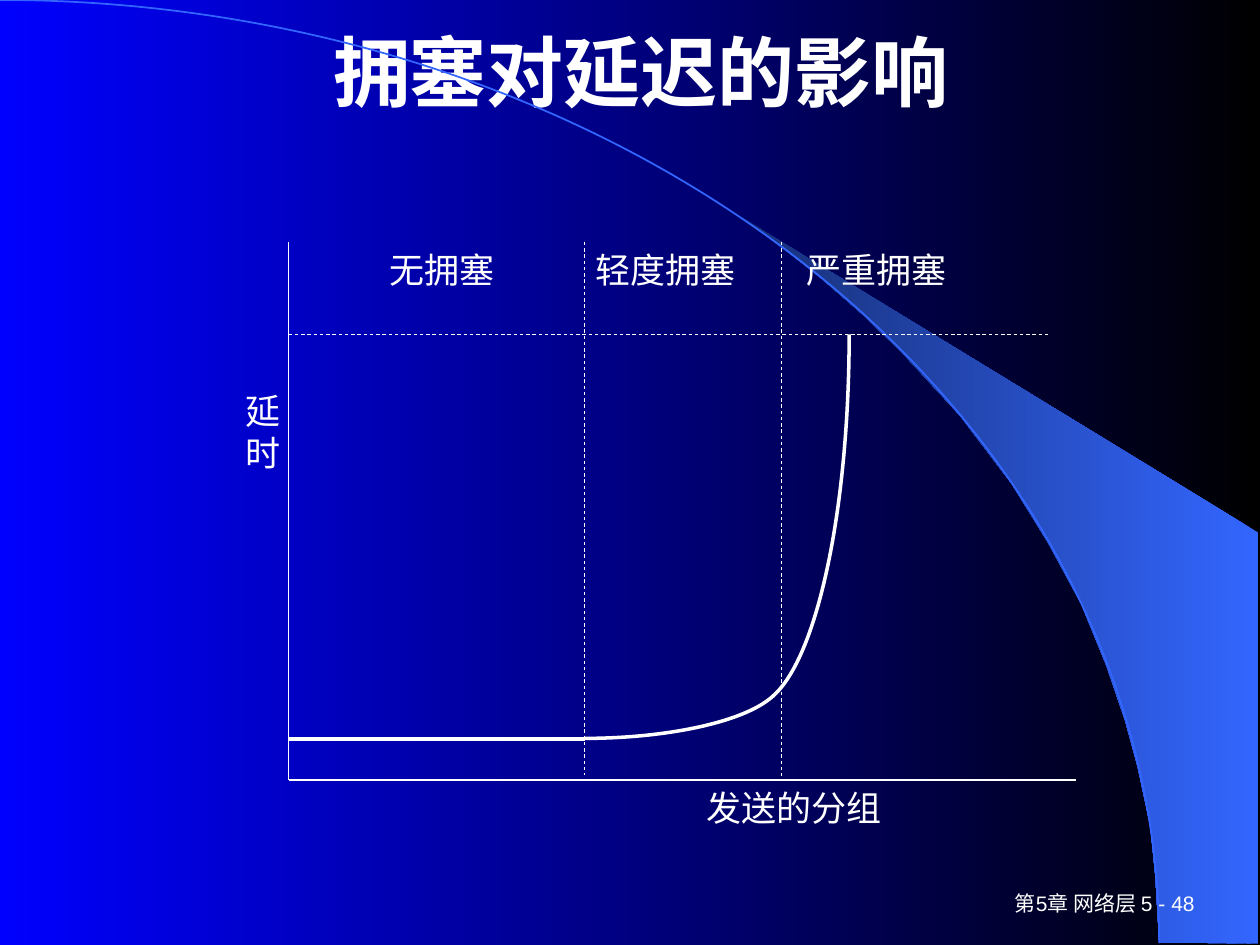
"""Build the slide on how congestion affects delay, on a grid of 100 columns by 75 rows."""
from dataclasses import dataclass

from lxml.etree import SubElement
from pptx import Presentation
from pptx.dml.color import RGBColor
from pptx.enum.dml import MSO_LINE
from pptx.enum.shapes import MSO_CONNECTOR, MSO_SHAPE
from pptx.enum.text import MSO_ANCHOR, PP_ALIGN
from pptx.oxml.ns import qn
from pptx.util import Inches, Pt

COLUMNS, ROWS = 100, 75
CELL = Inches(0.1)
ADJUSTMENT_PER_DEGREE = 0.6
WHITE = RGBColor(0xFF, 0xFF, 0xFF)
BLACK = RGBColor(0x00, 0x00, 0x00)
BLUE = RGBColor(0x00, 0x00, 0xFF)
SKY = RGBColor(0x33, 0x66, 0xFF)
NAVY = RGBColor(0x17, 0x2F, 0x75)

AXIS_X, AXIS_Y = 22.9, 61.9
TOP, LIMIT, BASE = 19.2, 26.55, 58.65
LIGHT, HEAVY = 46.4, 62


@dataclass(frozen=True)
class Rule:
    """A straight line between two grid points."""
    start: tuple
    end: tuple
    weight: float
    dashed: bool = False


@dataclass(frozen=True)
class Arc:
    """Part of the ellipse in a box, with angles in degrees clockwise from the right."""
    box: tuple
    first: float
    last: float
    color: RGBColor
    weight: float


@dataclass(frozen=True)
class Label:
    """A text box on the grid, with tab stops in columns."""
    text: str
    box: tuple
    size: int = 20
    align: PP_ALIGN = PP_ALIGN.JUSTIFY
    anchor: MSO_ANCHOR = MSO_ANCHOR.TOP
    side_inset: float = 1
    tabs: tuple = ()


BAND = [(92, 74.8), (99.9, 74.9), (99.9, 42.3), (58.9, 17.3), (62.4, 19.9),
        (65.3, 22.2), (68.5, 25), (71.6, 28), (76.2, 33), (80.3, 38.4),
        (83.2, 43.1), (85.8, 47.9), (87.8, 52.8), (89.3, 57.2), (90.3, 60.9),
        (91.3, 65.6), (91.7, 69.6)]
HORIZON = Arc((-92, 0, 184, 149.7), -90, 0, SKY, 1)
DELAY_CURVE = [
    Arc((30.5, 48.7, 31.7, 9.9), 5.8, 90, WHITE, 2),
    Arc((51.8, -2.9, 15.6, 58.9), 0, 86.6, WHITE, 2),
]
RULES = [
    Rule((AXIS_X, AXIS_Y), (85.4, AXIS_Y), 0.75),
    Rule((AXIS_X, LIMIT), (83.4, LIMIT), 0.5, True),
    Rule((LIGHT, TOP), (LIGHT, 61.5), 0.5, True),
    Rule((HEAVY, TOP), (HEAVY, 61.6), 0.5, True),
    Rule((AXIS_X, TOP), (AXIS_X, AXIS_Y), 0.75),
    Rule((AXIS_X, BASE), (LIGHT, BASE), 2),
]
FOOTER = Label("第5章 网络层 5 - 48", (75, 70, 20.8, 3.3), 12, PP_ALIGN.RIGHT, MSO_ANCHOR.MIDDLE)
LABELS = [
    Label("发送的分组", (55.1, AXIS_Y, 15.9, 5)),
    Label("无拥塞\t轻度拥塞\t严重拥塞", (29.9, TOP, 51.2, 5.8), tabs=(16.4, 33.1)),
    Label("延时", (19.1, 30.4, 3.8, 8.6), side_inset=0.4),
]


def grid(*cells: float) -> list:
    """Turn grid cells into lengths."""
    return [round(cell * CELL) for cell in cells]


def set_gradient(fill, *colors: RGBColor) -> None:
    """Fill from the right edge to the left."""
    fill.gradient()
    fill.gradient_angle = 180
    for stop, color in zip(fill.gradient_stops, colors):
        stop.color.rgb = color


def draw_band(slide) -> None:
    """Draw the bright band beside the horizon."""
    start, *rest = [grid(*point) for point in BAND]
    builder = slide.shapes.build_freeform(*start)
    builder.add_line_segments(rest, close=True)
    band = builder.convert_to_shape()
    band.shadow.inherit = False
    set_gradient(band.fill, SKY, NAVY)
    band.line.fill.background()


def draw_arc(slide, arc: Arc) -> None:
    """Draw an open, unfilled arc."""
    curve = slide.shapes.add_shape(MSO_SHAPE.ARC, *grid(*arc.box))
    curve.shadow.inherit = False
    for index, angle in enumerate((arc.first, arc.last)):
        curve.adjustments[index] = angle % 360 * ADJUSTMENT_PER_DEGREE
    curve.fill.background()
    curve.line.color.rgb = arc.color
    curve.line.width = Pt(arc.weight)


def draw_rule(slide, rule: Rule) -> None:
    """Draw a white straight line."""
    connector = slide.shapes.add_connector(
        MSO_CONNECTOR.STRAIGHT, *grid(*rule.start, *rule.end))
    connector.line.color.rgb = WHITE
    connector.line.width = Pt(rule.weight)
    if rule.dashed:
        connector.line.dash_style = MSO_LINE.DASH
    SubElement(connector._element.spPr, qn("a:effectLst"))


def set_font(paragraph, name: str, size: int, bold: bool = False) -> None:
    """Set a white font on a whole paragraph."""
    font = paragraph.font
    font.name, font.size, font.bold = name, Pt(size), bold
    font.color.rgb = WHITE


def draw_label(slide, label: Label) -> None:
    """Draw a text box."""
    frame = slide.shapes.add_textbox(*grid(*label.box)).text_frame
    frame.word_wrap = True
    frame.vertical_anchor = label.anchor
    frame.margin_left, frame.margin_right = grid(label.side_inset, label.side_inset)
    paragraph = frame.paragraphs[0]
    paragraph.text = label.text
    paragraph.alignment = label.align
    if label.tabs:
        stops = SubElement(paragraph._p.get_or_add_pPr(), qn("a:tabLst"))
        for position in grid(*label.tabs):
            SubElement(stops, qn("a:tab"), pos=str(position), algn="l")
    set_font(paragraph, "Arial", label.size)


def place_title(slide, text: str) -> None:
    """Move and format the title placeholder."""
    title = slide.shapes.title
    title.left, title.top, title.width, title.height = grid(9.1, 2.1, 85, 7)
    frame = title.text_frame
    frame.vertical_anchor = MSO_ANCHOR.MIDDLE
    frame.margin_right = Inches(0.24)
    heading = frame.paragraphs[0]
    heading.text = text
    heading.alignment = PP_ALIGN.CENTER
    set_font(heading, "Noto Sans CJK SC", 44, bold=True)


def main() -> None:
    """Build and save the slide."""
    deck = Presentation()
    deck.slide_width, deck.slide_height = grid(COLUMNS, ROWS)
    slide = deck.slides.add_slide(deck.slide_layouts[5])
    set_gradient(slide.background.fill, BLACK, BLUE)
    draw_band(slide)
    draw_arc(slide, HORIZON)
    draw_label(slide, FOOTER)
    place_title(slide, "拥塞对延迟的影响")
    for rule in RULES:
        draw_rule(slide, rule)
    for label in LABELS:
        draw_label(slide, label)
    for arc in DELAY_CURVE:
        draw_arc(slide, arc)
    deck.save("out.pptx")


if __name__ == "__main__":
    main()
